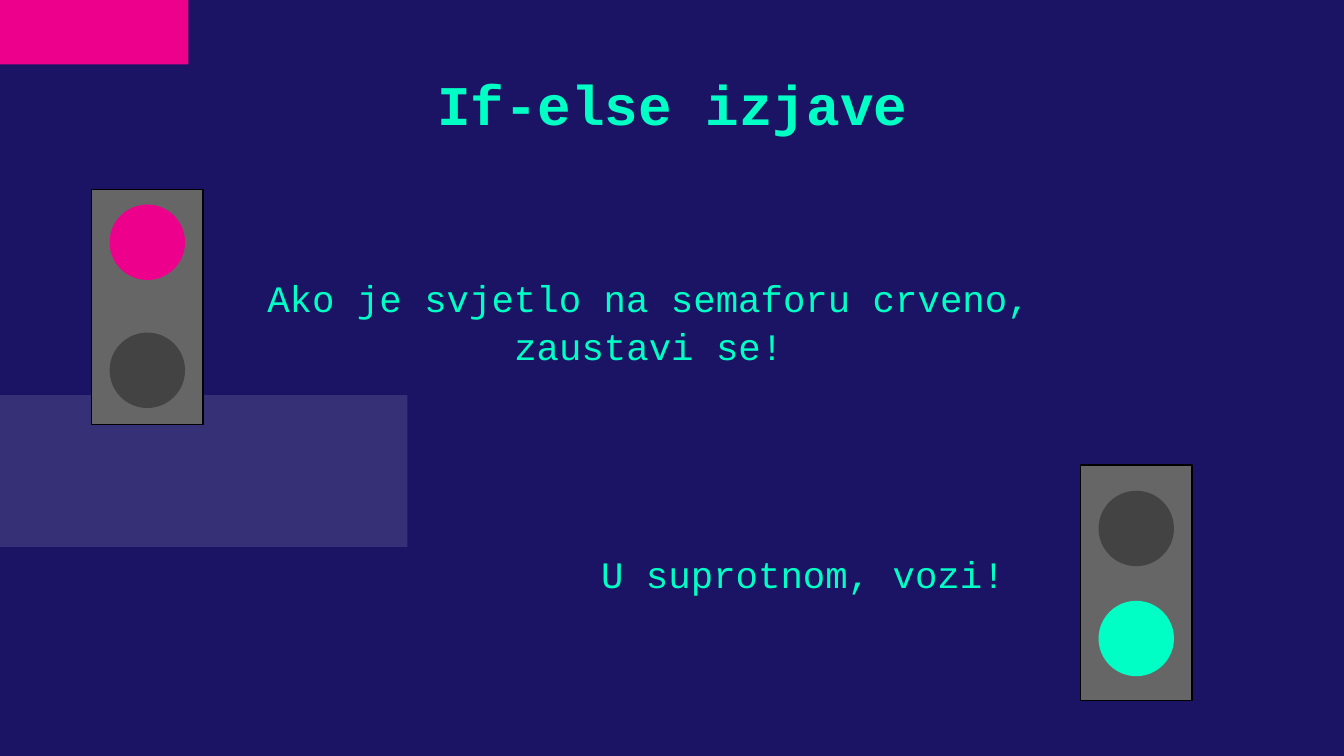
"""Build a slide that explains if-else statements with two traffic lights."""
import pptx
import pptx.dml.color
import pptx.enum.shapes
import pptx.enum.text
import pptx.oxml
import pptx.oxml.ns
import pptx.util

Cm = pptx.util.Cm
Pt = pptx.util.Pt
SHAPES = pptx.enum.shapes.MSO_SHAPE

COLORS = {
    "background": "1B1464",
    "panel": "FFFFFF",
    "pink": "EC008C",
    "mint": "00FFC5",
    "housing": "666666",
    "off": "434343",
    "outline": "000000",
}
FONT = "Courier New"
HOUSING_WIDTH, HOUSING_HEIGHT = 2.11, 4.45
LAMP_SIZE = 1.4


def rgb(name):
    """Return the named colour."""
    return pptx.dml.color.RGBColor.from_string(COLORS[name])


def add_figure(page, kind, left, top, width, height, fill, line=None):
    """Add a flat preset shape, outlined if a line colour is given."""
    figure = page.shapes.add_shape(kind, Cm(left), Cm(top), Cm(width), Cm(height))
    figure.shadow.inherit = False
    figure.fill.solid()
    figure.fill.fore_color.rgb = rgb(fill)
    if line:
        figure.line.color.rgb = rgb(line)
        figure.line.width = Pt(0.75)
    else:
        figure.line.fill.background()
    return figure


def set_opacity(figure, percent):
    """Make the solid fill of a shape translucent."""
    color = figure.fill._xPr.find(".//" + pptx.oxml.ns.qn("a:srgbClr"))
    alpha = pptx.oxml.parse_xml(f'<a:alpha {pptx.oxml.ns.nsdecls("a")} val="{percent * 1000}"/>')
    color.append(alpha)


def add_text(page, text, left, top, width, height, size, space, bold=False):
    """Add a centred text box in the slide font."""
    box = page.shapes.add_textbox(Cm(left), Cm(top), Cm(width), Cm(height))
    frame = box.text_frame
    frame.word_wrap = True
    frame.vertical_anchor = pptx.enum.text.MSO_ANCHOR.TOP
    frame.margin_left = frame.margin_right = Cm(0.25)
    frame.margin_top = frame.margin_bottom = Cm(0.25)
    para = frame.paragraphs[0]
    para.text = text
    para.alignment = pptx.enum.text.PP_ALIGN.CENTER
    para.line_spacing = 1.07
    para.space_before = Pt(space)
    para.font.name = FONT
    para.font.size = Pt(size)
    para.font.bold = bold
    para.font.color.rgb = rgb("mint")


def add_traffic_light(page, left, top, lamps):
    """Add a housing with lamps given as (offset from its top, colour)."""
    add_figure(page, SHAPES.RECTANGLE, left, top, HOUSING_WIDTH, HOUSING_HEIGHT,
               "housing", "outline")
    lamp_left = left + (HOUSING_WIDTH - LAMP_SIZE) / 2
    for offset, color in lamps:
        add_figure(page, SHAPES.OVAL, lamp_left, top + offset, LAMP_SIZE, LAMP_SIZE,
                   color, color)


def main():
    """Build and save the deck."""
    deck = pptx.Presentation()
    deck.slide_width, deck.slide_height = Cm(25.4), Cm(14.29)
    page = deck.slides.add_slide(deck.slide_layouts[6])
    page.background.fill.solid()
    page.background.fill.fore_color.rgb = rgb("background")

    panel = add_figure(page, SHAPES.RECTANGLE, 0, 7.47, 7.7, 2.87, "panel")
    set_opacity(panel, 12)
    add_figure(page, SHAPES.RECTANGLE, 0, 0, 3.56, 1.22, "pink")

    add_text(page, "If-else izjave", 3.56, 0.97, 18.29, 1.85, 30, 3, bold=True)
    add_text(page, "Ako je svjetlo na semaforu crveno, zaustavi se!",
             3.12, 4.9, 18.29, 2.67, 20, 2)
    add_text(page, "U suprotnom, vozi!", 10.52, 10.11, 9.32, 2.67, 20, 2)

    add_traffic_light(page, 1.73, 3.58, [(0.3, "pink"), (2.72, "off")])
    add_traffic_light(page, 20.42, 8.79, [(0.5, "off"), (2.58, "mint")])

    deck.save("out.pptx")


if __name__ == "__main__":
    main()
